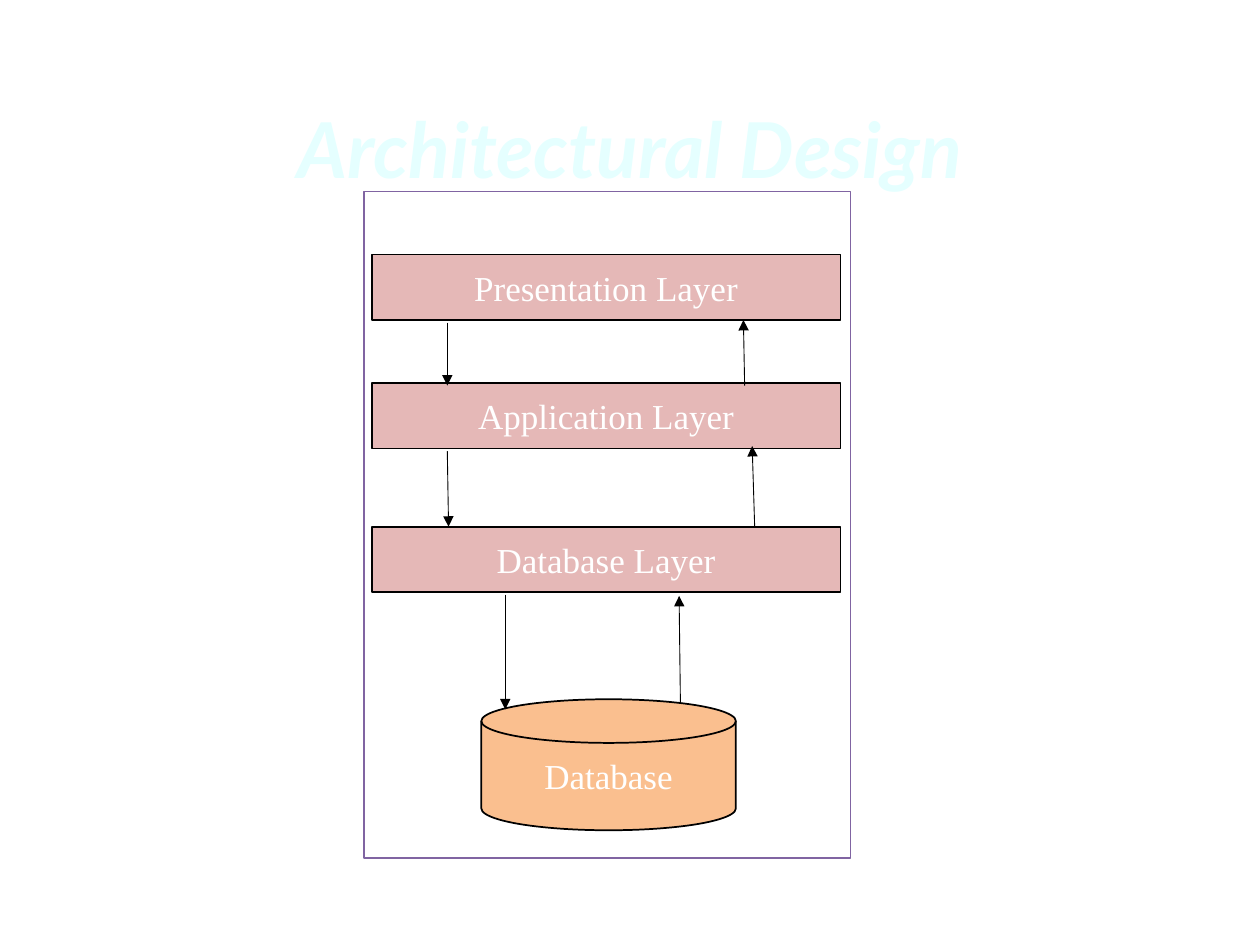
from dataclasses import dataclass

from lxml import etree
from pptx import Presentation
from pptx.dml.color import RGBColor
from pptx.enum.shapes import MSO_CONNECTOR, MSO_SHAPE
from pptx.enum.text import MSO_ANCHOR, PP_ALIGN
from pptx.oxml.ns import qn
from pptx.util import Inches, Pt

RECTANGLE = MSO_SHAPE.RECTANGLE
DISK = MSO_SHAPE.FLOWCHART_MAGNETIC_DISK
STRAIGHT = MSO_CONNECTOR.STRAIGHT
MIDDLE = MSO_ANCHOR.MIDDLE
CENTER = PP_ALIGN.CENTER


@dataclass(frozen=True)
class Theme:
    title_color: str = "E5FFFF"
    label_color: str = "FFFFFF"
    frame_color: str = "8064A2"
    line_color: str = "000000"
    layer_fill: str = "E5B8B7"
    store_fill: str = "FABF8F"
    title_font: str = "Lato"
    label_font: str = "Times New Roman"
    title_size: float = 44
    label_size: float = 20
    outline_width: float = 1
    arrow_width: float = 0.5


class DiagramSlide:
    def __init__(self, deck, theme):
        self.theme = theme
        self.slide = deck.slides.add_slide(deck.slide_layouts[5])
        self.group = self.slide.shapes.add_group_shape()

    def label(self, shape, text, color, font_format):
        frame = shape.text_frame
        frame.word_wrap = True
        frame.vertical_anchor = MIDDLE
        para = frame.paragraphs[0]
        para.alignment = CENTER
        span = para.add_run()
        span.text = text
        for name, value in font_format.items():
            setattr(span.font, name, value)
        span.font.color.rgb = RGBColor.from_string(color)

    def title(self, text, bounds):
        box = self.slide.shapes.title
        for name, value in zip(("left", "top", "width", "height"), bounds):
            setattr(box, name, Inches(value))
        theme = self.theme
        self.label(box, text, theme.title_color, {
            "name": theme.title_font, "size": Pt(theme.title_size),
            "bold": True, "italic": True})

    def outline(self, shape, color, width):
        shape.line.color.rgb = RGBColor.from_string(color)
        shape.line.width = Pt(width)

    def box(self, kind, bounds, line_color, fill=None, text=None):
        shape = self.group.shapes.add_shape(kind, *map(Inches, bounds))
        shape.shadow.inherit = False
        theme = self.theme
        self.outline(shape, line_color, theme.outline_width)
        if fill:
            shape.fill.solid()
            shape.fill.fore_color.rgb = RGBColor.from_string(fill)
        else:
            shape.fill.background()
        if text:
            self.label(shape, text, theme.label_color, {
                "name": theme.label_font, "size": Pt(theme.label_size)})

    def arrow(self, start, end):
        points = map(Inches, (*start, *end))
        connector = self.group.shapes.add_connector(STRAIGHT, *points)
        self.outline(connector, self.theme.line_color, self.theme.arrow_width)
        properties = connector.element.spPr
        line = properties.find(qn("a:ln"))
        etree.SubElement(line, qn("a:tailEnd"), type="triangle")
        etree.SubElement(properties, qn("a:effectLst"))


def main():
    deck = Presentation()
    deck.slide_width, deck.slide_height = Inches(10), Inches(7.5)
    theme = Theme()
    page = DiagramSlide(deck, theme)

    page.title("Architectural Design", (0.5, 0.42, 9, 1.5))
    page.box(RECTANGLE, (2.89, 1.52, 3.86, 5.29), theme.frame_color)

    layers = {"Presentation": 2.02, "Application": 3.04, "Database": 4.18}
    for name, top in layers.items():
        page.box(RECTANGLE, (2.95, top, 3.72, 0.52), theme.line_color,
                 theme.layer_fill, f"{name} Layer")
    page.box(DISK, (3.82, 5.55, 2.02, 1.04), theme.line_color,
             theme.store_fill, "Database")

    arrows = [
        ((3.55, 2.56), (3.55, 3.06)),
        ((3.55, 3.58), (3.56, 4.18)),
        ((4.01, 4.72), (4.01, 5.63)),
        ((5.91, 3.06), (5.9, 2.54)),
        ((5.99, 4.19), (5.97, 3.54)),
        ((5.4, 5.57), (5.39, 4.73)),
    ]
    for start, end in arrows:
        page.arrow(start, end)

    deck.save("out.pptx")


if __name__ == "__main__":
    main()
